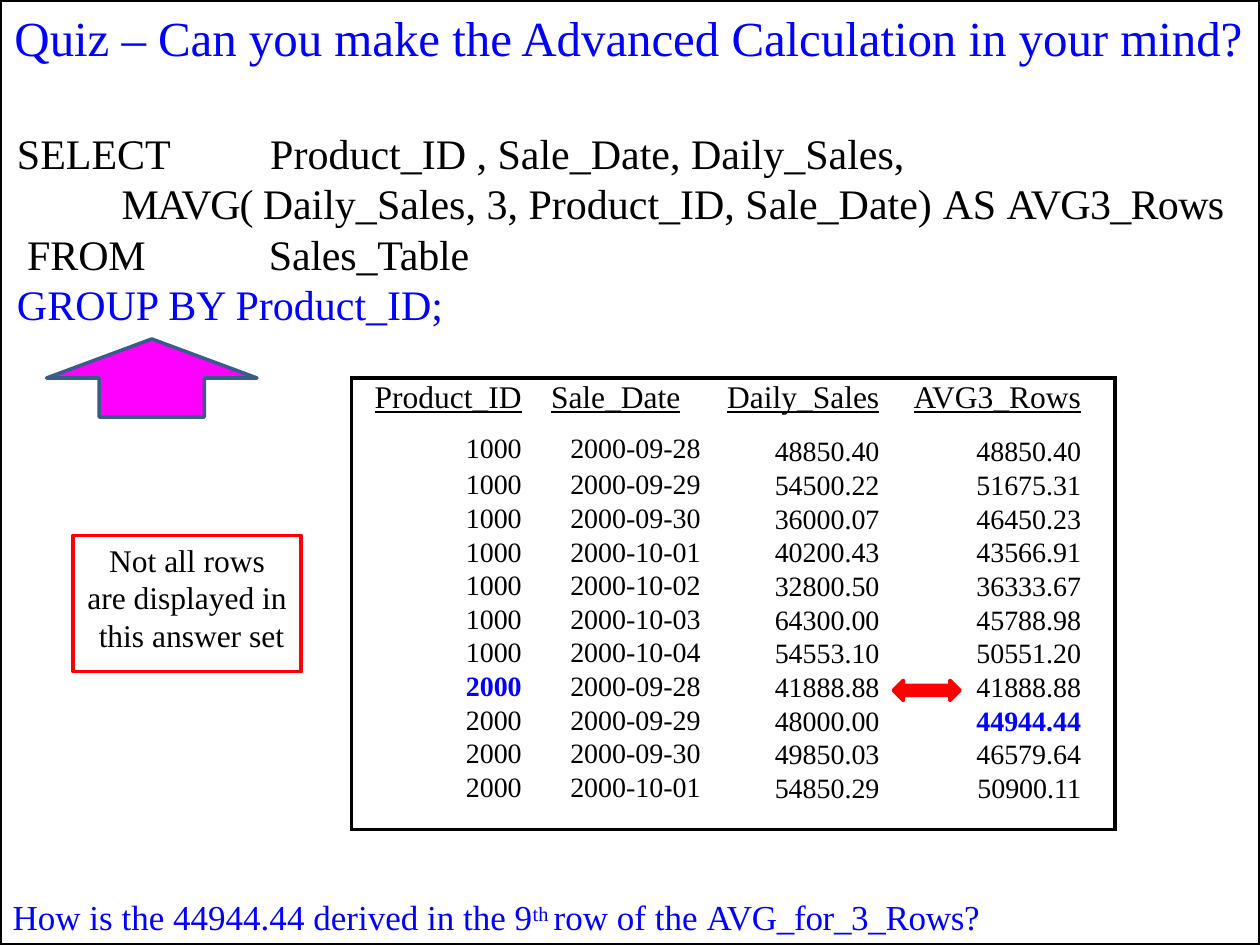
from dataclasses import dataclass

from lxml import etree
from pptx import Presentation
from pptx import util as u
from pptx.dml.color import RGBColor
from pptx.enum import shapes, text
from pptx.oxml import ns


@dataclass(frozen=True)
class Theme:
    face: str = "Times New Roman"
    ink: str = "000000"
    blue: str = "0000FF"
    red: str = "FF0000"
    pink: str = "FF00FF"
    edge: str = "385D89"
    title: float = 28
    code: float = 24
    ask: float = 20
    note: float = 18
    cell: float = 16
    thin: float = 2
    thick: float = 2.25


COLS, ROWS = 100, 75  # grid squares are 0.1 inch


def rgb(tone):
    return RGBColor.from_string(tone)


class Page:
    def __init__(self, theme):
        self.look = theme
        self.deck = Presentation()
        self.deck.slide_width, self.deck.slide_height = u.Inches(10), u.Inches(7.5)
        self.unit = self.deck.slide_width / COLS
        self.slide = self.deck.slides.add_slide(self.deck.slide_layouts[5])

    def size(self, *spans):
        return [u.Emu(round(span * self.unit)) for span in spans]

    def font(self, para, size, tone, bold=False, line=False):
        font = para.font
        font.name, font.size, font.bold = self.look.face, u.Pt(size), bold
        font.underline = line
        font.color.rgb = rgb(tone)

    def frame(self, shape, left=0, top=0, wrap=True):
        frame = shape.text_frame
        frame.word_wrap = wrap
        frame.auto_size = text.MSO_AUTO_SIZE.NONE
        frame.vertical_anchor = text.MSO_ANCHOR.TOP
        frame.margin_left, frame.margin_top = self.size(left, top)
        frame.margin_right = frame.margin_bottom = 0
        return frame

    def fill(self, para, runs):
        """Each run is (words, letter spacing in points[, raise in percent])."""
        for words, gap, *lift in runs:
            run = para.add_run()
            run.text = words
            props = run.font._element
            props.set("spc", str(round(gap * 100)))
            if lift:
                props.set("baseline", str(lift[0] * 1000))

    def title(self, runs, box):
        shape = self.slide.shapes.title
        shape.left, shape.top, shape.width, shape.height = self.size(*box)
        para = self.frame(shape, 0.15, 0.12, False).paragraphs[0]
        para.alignment = text.PP_ALIGN.LEFT
        self.font(para, self.look.title, self.look.blue)
        self.fill(para, runs)

    def lines(self, shape, rows, size, pitch=None, align=text.PP_ALIGN.LEFT, **inset):
        """Each row is (runs, colour, indent, tab stop)."""
        frame = self.frame(shape, **inset)
        for i, (runs, tone, dent, stop) in enumerate(rows):
            para = frame.add_paragraph() if i else frame.paragraphs[0]
            para.alignment = align
            if pitch:
                para.line_spacing = u.Pt(pitch)
            props = para._p.get_or_add_pPr()
            props.set("marL", str(self.size(dent)[0]))
            if stop:
                tabs = etree.SubElement(props, ns.qn("a:tabLst"))
                etree.SubElement(tabs, ns.qn("a:tab"),
                                 pos=str(self.size(stop)[0]), algn="l")
            self.font(para, size, tone)
            self.fill(para, runs)

    def box(self, box):
        return self.slide.shapes.add_textbox(*self.size(*box))

    def shape(self, kind, box, line, width, fill=None):
        shape = self.slide.shapes.add_shape(kind, *self.size(*box))
        shape.shadow.inherit = False
        if fill:
            shape.fill.solid()
            shape.fill.fore_color.rgb = rgb(fill)
        else:
            shape.fill.background()
        shape.line.color.rgb = rgb(line)
        shape.line.width = u.Pt(width)
        return shape

    def border(self, cell, sides):
        props = cell._tc.get_or_add_tcPr()
        for i, side in enumerate("LRTB"):
            width = u.Pt(self.look.thick) if side in sides else 0
            line = etree.Element(ns.qn("a:ln" + side), w=str(width))
            if width:
                solid = etree.SubElement(line, ns.qn("a:solidFill"))
                etree.SubElement(solid, ns.qn("a:srgbClr"), val=self.look.ink)
            else:
                etree.SubElement(line, ns.qn("a:noFill"))
            props.insert(i, line)

    def table(self, head, rows, at, wide, high, marks):
        data = [head, *rows]
        grid = self.slide.shapes.add_table(
            len(data), len(head), *self.size(*at, sum(wide), sum(high))).table
        grid.first_row = grid.horz_banding = False
        for col, span in zip(grid.columns, self.size(*wide)):
            col.width = span
        for row, span in zip(grid.rows, self.size(*high)):
            row.height = span
        last, end = len(data) - 1, len(head) - 1
        for r, row in enumerate(data):
            for c, words in enumerate(row):
                cell = grid.cell(r, c)
                top = {0: 0.2, 1: 0.5 if c < 2 else 0.75}.get(r, 0)
                right = 2.7 if c == end or (r, c) == (0, 1) else 1.1
                cell.margin_left = cell.margin_bottom = 0
                cell.margin_top, cell.margin_right = self.size(top, right)
                cell.fill.background()
                self.border(cell, [s for s, on in zip(
                    "LRTB", (c == 0, c == end, r == 0, r == last)) if on])
                para = cell.text_frame.paragraphs[0]
                para.alignment = text.PP_ALIGN.RIGHT
                if r > 1:
                    para.line_spacing = u.Pt(17.7 if c < 2 else 18.2)
                mark = (r, c) in marks
                self.font(para, self.look.cell if r else self.look.note,
                          self.look.blue if mark else self.look.ink, mark, r == 0)
                para.add_run().text = words


HEAD = ("Product_ID", "Sale_Date", "Daily_Sales", "AVG3_Rows")
SALES = [
    ("1000", "2000-09-28", "48850.40", "48850.40"),
    ("1000", "2000-09-29", "54500.22", "51675.31"),
    ("1000", "2000-09-30", "36000.07", "46450.23"),
    ("1000", "2000-10-01", "40200.43", "43566.91"),
    ("1000", "2000-10-02", "32800.50", "36333.67"),
    ("1000", "2000-10-03", "64300.00", "45788.98"),
    ("1000", "2000-10-04", "54553.10", "50551.20"),
    ("2000", "2000-09-28", "41888.88", "41888.88"),
    ("2000", "2000-09-29", "48000.00", "44944.44"),
    ("2000", "2000-09-30", "49850.03", "46579.64"),
    ("2000", "2000-10-01", "54850.29", "50900.11"),
]


def main():
    look = Theme()
    page = Page(look)
    kind = shapes.MSO_SHAPE

    # Slide frame and title
    page.shape(kind.RECTANGLE, (0, 0, COLS, ROWS), look.ink, look.thin)
    page.title([("Quiz – Can you make the Advanced Calculation in your mind?",
                 -0.03)], (1, 0.5, 98, 4.9))

    # Question
    ask = [("How is the 44944.44 derived in the 9", 0), ("th ", 0, 26),
           ("row of the ", 0), ("AVG_for_3_Rows?", -0.2)]
    page.lines(page.box((0.6, 70.9, 78.1, 3.6)), [(ask, look.blue, 0, 0)],
               look.ask, left=0.4, top=0.2)

    # Query
    query = [
        ([("SELECT\tProduct_ID , Sale_Date, Daily_Sales,", 0)], look.ink, 0, 20.1),
        ([("MAVG( ", -0.7), ("Daily_Sales, 3, Product_ID, Sale_Date) ", 0),
          ("AS ", -0.1), ("AVG3_Rows", -0.4)], look.ink, 8.3, 0),
        ([(" FROM\tSales_Table", -0.1)], look.ink, 0, 20),
        ([("GROUP BY Product_ID;", 0)], look.blue, 0, 0),
    ]
    page.lines(page.box((1.2, 10, 96.7, 16.3)), query, look.code, 28.8,
               left=0.15, top=0.12, wrap=False)

    # Answer set
    page.table(HEAD, SALES, (27.9, 30), [14.6, 14.2, 14.2, 17.6],
               [3.9, 3.4] + [2.67] * 9 + [4.5], {(8, 0), (9, 3)})

    # Arrows
    page.shape(kind.UP_ARROW, (3.7, 26.9, 16.7, 6.2), look.edge, look.thin, look.pink)
    page.shape(kind.LEFT_RIGHT_ARROW, (70.9, 54, 5.3, 1.6),
               look.red, look.thin, look.red)

    # Note
    note = page.shape(kind.RECTANGLE, (5.8, 42.5, 18.1, 10.8), look.red, look.thick)
    page.lines(note, [([(words, 0)], look.ink, dent, 0) for words, dent in
                      (("Not all rows", 0), ("are displayed in", 0),
                       ("this answer set", 0.7))],
               look.note, 21.4, text.PP_ALIGN.CENTER, top=0.45)

    page.deck.save("out.pptx")


if __name__ == "__main__":
    main()
